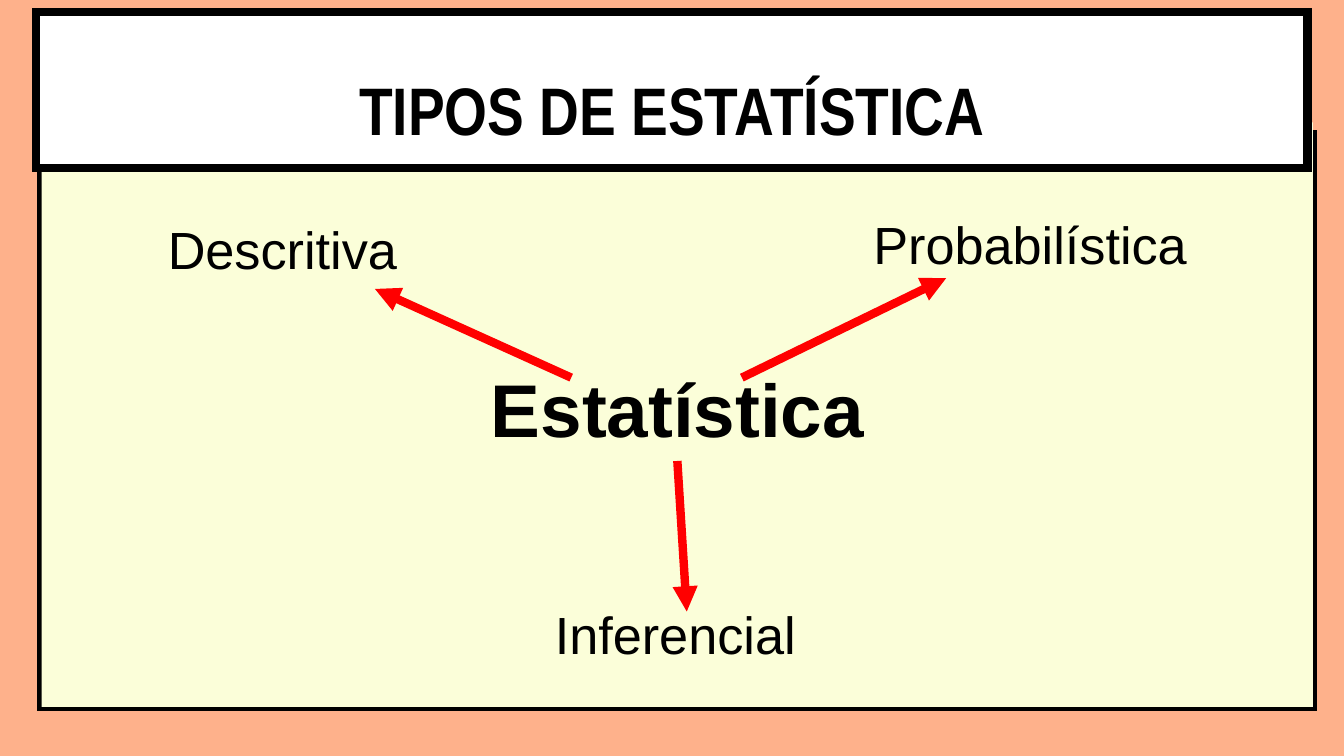
from lxml import etree
from pptx import Presentation
from pptx.dml.color import RGBColor
from pptx.enum.shapes import MSO_CONNECTOR, MSO_SHAPE
from pptx.enum.text import MSO_ANCHOR, PP_ALIGN
from pptx.oxml.ns import qn
from pptx.util import Inches, Pt

RECTANGLE = MSO_SHAPE.RECTANGLE
STRAIGHT = MSO_CONNECTOR.STRAIGHT
LEFT, CENTER = PP_ALIGN.LEFT, PP_ALIGN.CENTER
TOP = MSO_ANCHOR.TOP

SALMON = RGBColor(0xFE, 0xB1, 0x8B)
CREAM = RGBColor(0xFB, 0xFE, 0xD9)
WHITE = RGBColor(0xFF, 0xFF, 0xFF)
BLACK = RGBColor(0x00, 0x00, 0x00)
RED = RGBColor(0xFF, 0x00, 0x00)
LINE_WIDTH = Pt(4.5)

TITLE = ("TIPOS DE ESTATÍSTICA", (0.27, 0.27, 9.46, 0.85))
CENTER_TOPIC = ("Estatística", (3.32, 2.65, 3.44, 0.77))
BRANCHES = [
    ("Descritiva", (1.15, 1.57, 2.25, 0.57), (4.25, 2.81), (2.79, 2.15)),
    ("Probabilística", (6.4, 1.53, 2.72, 0.57), (5.52, 2.81), (7.04, 2.07)),
    ("Inferencial", (4.03, 4.43, 2.72, 0.57), (5.04, 3.43), (5.11, 4.55)),
]
PANELS = [
    ((0.31, 1, 9.46, 4.26), CREAM, True),
    ((0.31, 0.91, 9.46, 4.35), CREAM, False),
    ((0.27, 0.09, 9.46, 1.16), WHITE, True),
]


def inches(values):
    return [Inches(value) for value in values]


def write_text(box, text, size, font="Arial", bold=False, align=LEFT,
               spacing=1.0, margins=(0.1, 0.05)):
    frame = box.text_frame
    frame.word_wrap = True
    frame.vertical_anchor = TOP
    frame.margin_left = frame.margin_right = Inches(margins[0])
    frame.margin_top = frame.margin_bottom = Inches(margins[1])
    para = frame.paragraphs[0]
    para.alignment = align
    para.line_spacing = spacing
    span = para.add_run()
    span.text = text
    span.font.name = font
    span.font.size = Pt(size)
    span.font.bold = bold
    span.font.color.rgb = BLACK


def add_panel(page, place, color, outlined):
    panel = page.shapes.add_shape(RECTANGLE, *inches(place))
    panel.shadow.inherit = False
    panel.fill.solid()
    panel.fill.fore_color.rgb = color
    if outlined:
        panel.line.color.rgb = BLACK
        panel.line.width = LINE_WIDTH
        outline = panel.element.spPr.find(qn("a:ln"))
        etree.SubElement(outline, qn("a:miter"), lim="800000")
    else:
        panel.line.fill.background()


def add_arrow(page, start, end):
    arrow = page.shapes.add_connector(STRAIGHT, *inches(start + end))
    arrow.line.color.rgb = RED
    arrow.line.width = LINE_WIDTH
    properties = arrow.element.spPr
    etree.SubElement(properties.find(qn("a:ln")), qn("a:tailEnd"), type="triangle")
    etree.SubElement(properties, qn("a:effectLst"))


def add_label(page, text, place, **style):
    write_text(page.shapes.add_textbox(*inches(place)), text, **style)


def main():
    deck = Presentation()
    deck.slide_width = Inches(10)
    deck.slide_height = Inches(10 * 9 / 16)
    page = deck.slides.add_slide(deck.slide_layouts[5])
    page.background.fill.solid()
    page.background.fill.fore_color.rgb = SALMON

    for place, color, outlined in PANELS:
        add_panel(page, place, color, outlined)

    heading = page.shapes.title
    text, place = TITLE
    heading.left, heading.top, heading.width, heading.height = inches(place)
    write_text(heading, text, size=36, font="Arial Narrow", bold=True,
               align=CENTER, spacing=1.4, margins=(0, 0))
    heading.element.getparent().append(heading.element)

    add_label(page, *CENTER_TOPIC, size=40, bold=True, align=CENTER)
    for _, _, start, end in BRANCHES:
        add_arrow(page, start, end)
    for text, place, _, _ in BRANCHES:
        add_label(page, text, place, size=28)

    deck.save("out.pptx")


if __name__ == "__main__":
    main()
